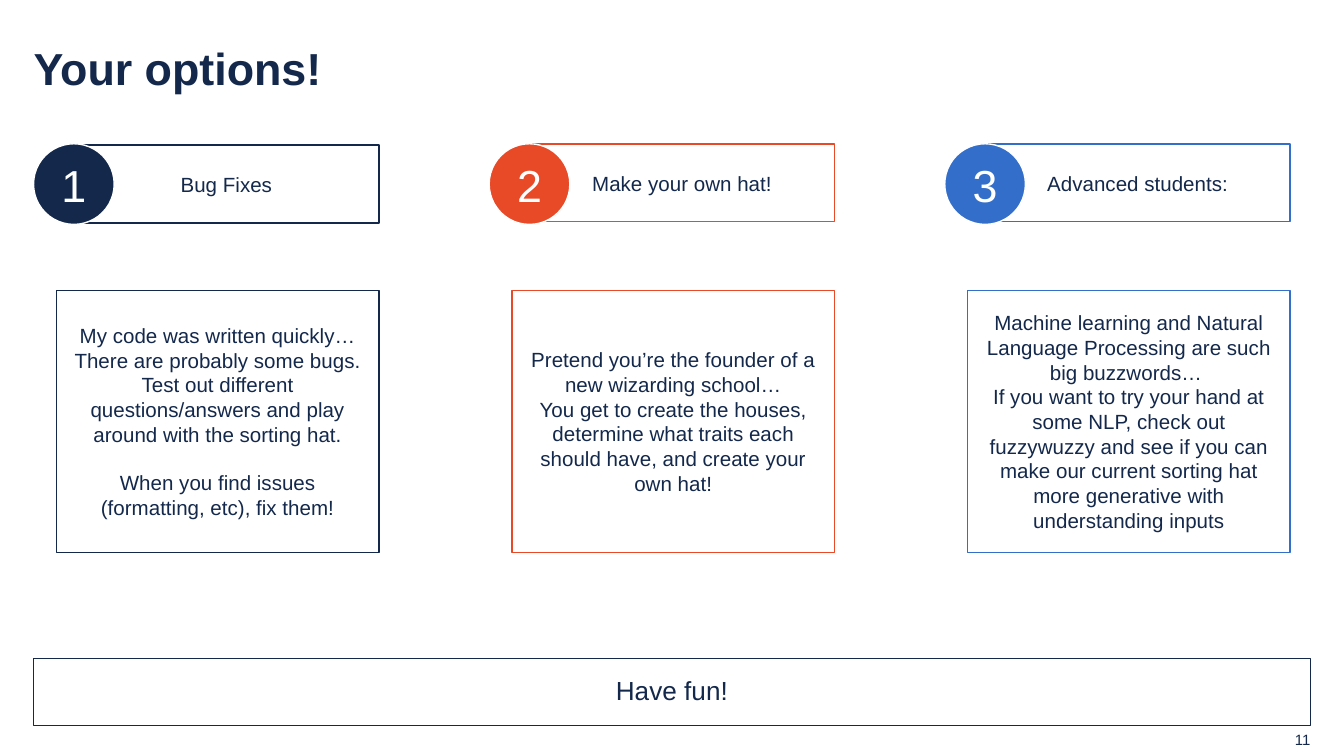
from dataclasses import dataclass

from pptx import Presentation
from pptx.dml.color import RGBColor as RGB
from pptx.enum.shapes import MSO_SHAPE as Shape
from pptx.enum.text import MSO_ANCHOR as Anchor, MSO_AUTO_SIZE as AutoSize, PP_ALIGN as Align
from pptx.util import Inches, Pt


@dataclass(frozen=True)
class Theme:
    font: str = "Arial"
    navy: str = "13284B"
    orange: str = "E84927"
    blue: str = "336FCA"
    white: str = "FFFFFF"
    title: int = 24
    number: int = 24
    closing: int = 14
    body: int = 11
    page: int = 8
    line: float = 0.75


@dataclass(frozen=True)
class Box:
    left: float
    top: float
    width: float
    height: float

    def lengths(self) -> list[Inches]:
        return [Inches(v) for v in (self.left, self.top, self.width, self.height)]


@dataclass(frozen=True)
class Para:
    text: str
    before: float = 0


@dataclass(frozen=True)
class Option:
    heading: str
    color: str
    paras: tuple[Para, ...]
    heading_top: float = 1.07


THEME = Theme()
MARGIN = 0.25
COLUMN_STEP = 3.39
PAD = (0.1, 0.1, 0.1, 0.1)

OPTIONS = (
    Option("Bug Fixes", THEME.navy, (
        Para("My code was written quickly…"),
        Para("There are probably some bugs."),
        Para("Test out different questions/answers and play around with the sorting hat."),
        Para("When you find issues (formatting, etc), fix them!", before=13),
    ), heading_top=1.08),
    Option("Make your own hat!", THEME.orange, (
        Para("Pretend you’re the founder of a new wizarding school…"),
        Para("You get to create the houses, determine what traits each should have, "
             "and create your own hat!"),
    )),
    Option("Advanced students:", THEME.blue, (
        Para("Machine learning and Natural Language Processing are such big buzzwords… "),
        Para("If you want to try your hand at some NLP, check out fuzzywuzzy and see if you can "
             "make our current sorting hat more generative with understanding inputs"),
    )),
)


def write(sp, paras: tuple[Para, ...], size: float, color: str = THEME.navy,
          align=Align.CENTER, pad: tuple = PAD, bold: bool = False,
          spacing: float = 1.0) -> None:
    """Fill a shape with middle-anchored, wrapped paragraphs."""
    tf = sp.text_frame
    tf.word_wrap = True
    tf.auto_size = AutoSize.NONE
    tf.vertical_anchor = Anchor.MIDDLE
    tf.margin_left, tf.margin_top, tf.margin_right, tf.margin_bottom = map(Inches, pad)
    for i, para in enumerate(paras):
        p = tf.paragraphs[0] if i == 0 else tf.add_paragraph()
        p.alignment = align
        p.line_spacing = spacing
        p.space_before = Pt(para.before)
        r = p.add_run()
        r.text = para.text
        r.font.name = THEME.font
        r.font.size = Pt(size)
        r.font.bold = bold
        r.font.color.rgb = RGB.from_string(color)


def add_shape(shapes, kind, box: Box, line: str, fill: str | None = None):
    """Draw an outlined shape, filled only when a fill colour is given."""
    sp = shapes.add_shape(kind, *box.lengths())
    sp.shadow.inherit = False
    if fill:
        sp.fill.solid()
        sp.fill.fore_color.rgb = RGB.from_string(fill)
    else:
        sp.fill.background()
    sp.line.color.rgb = RGB.from_string(line)
    sp.line.width = Pt(THEME.line)
    return sp


def add_option(s, index: int, option: Option) -> None:
    """Draw one column: numbered heading and description."""
    x = MARGIN + index * COLUMN_STEP
    group = s.shapes.add_group_shape().shapes

    # Heading with its number badge on top
    sp = add_shape(group, Shape.RECTANGLE, Box(x + 0.3, option.heading_top, 2.27, 0.58), option.color)
    write(sp, (Para(option.heading),), THEME.body)
    sp = add_shape(group, Shape.OVAL, Box(x, 1.07, 0.6, 0.6), THEME.white, option.color)
    write(sp, (Para(str(index + 1)),), THEME.number, THEME.white, pad=(0, 0, 0, 0))

    # Description
    sp = add_shape(s.shapes, Shape.RECTANGLE, Box(x + 0.17, 2.16, 2.4, 1.95), option.color)
    write(sp, option.paras, THEME.body)


def main() -> None:
    # Widescreen 16:9 slide
    prs = Presentation()
    prs.slide_width = Inches(10)
    prs.slide_height = prs.slide_width * 9 // 16
    s = prs.slides.add_slide(prs.slide_layouts[5])

    # Title
    title = s.shapes.title
    title.left, title.top, title.width, title.height = Box(MARGIN, 0.23, 9.5, 0.6).lengths()
    write(title, (Para("Your options!"),), THEME.title, align=Align.LEFT,
          pad=(0, 0, 1.2, 0), bold=True, spacing=0.9)

    # Option columns
    for i, option in enumerate(OPTIONS):
        add_option(s, i, option)

    # Closing banner
    sp = add_shape(s.shapes, Shape.RECTANGLE, Box(MARGIN, 4.9, 9.5, 0.5), THEME.navy)
    write(sp, (Para("Have fun!"),), THEME.closing, pad=(0.5, 0.1, 0.5, 0.1), spacing=0.9)

    # Page number
    sp = s.shapes.add_textbox(*Box(7.5, 5.4, 2.25, 0.2).lengths())
    write(sp, (Para("11"),), THEME.page, align=Align.RIGHT, pad=(0, 0, 0, 0))

    prs.save("out.pptx")


if __name__ == "__main__":
    main()
